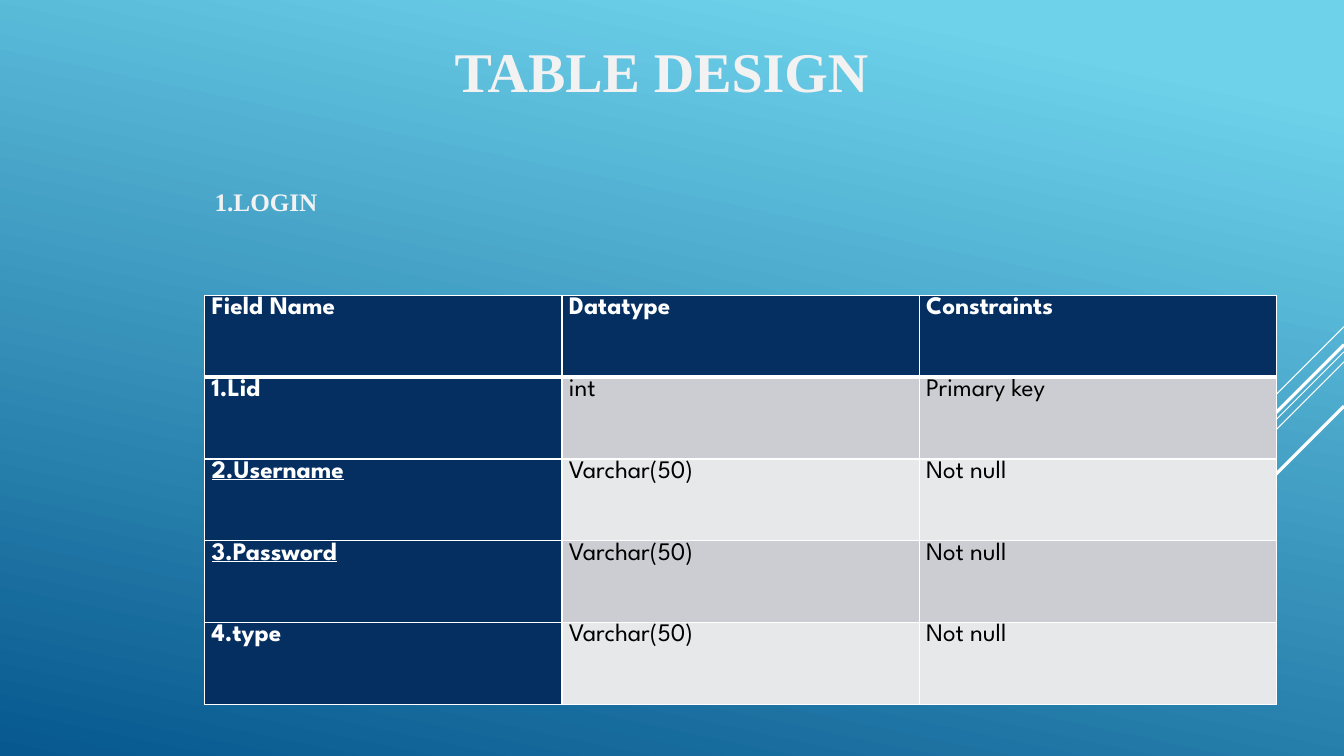
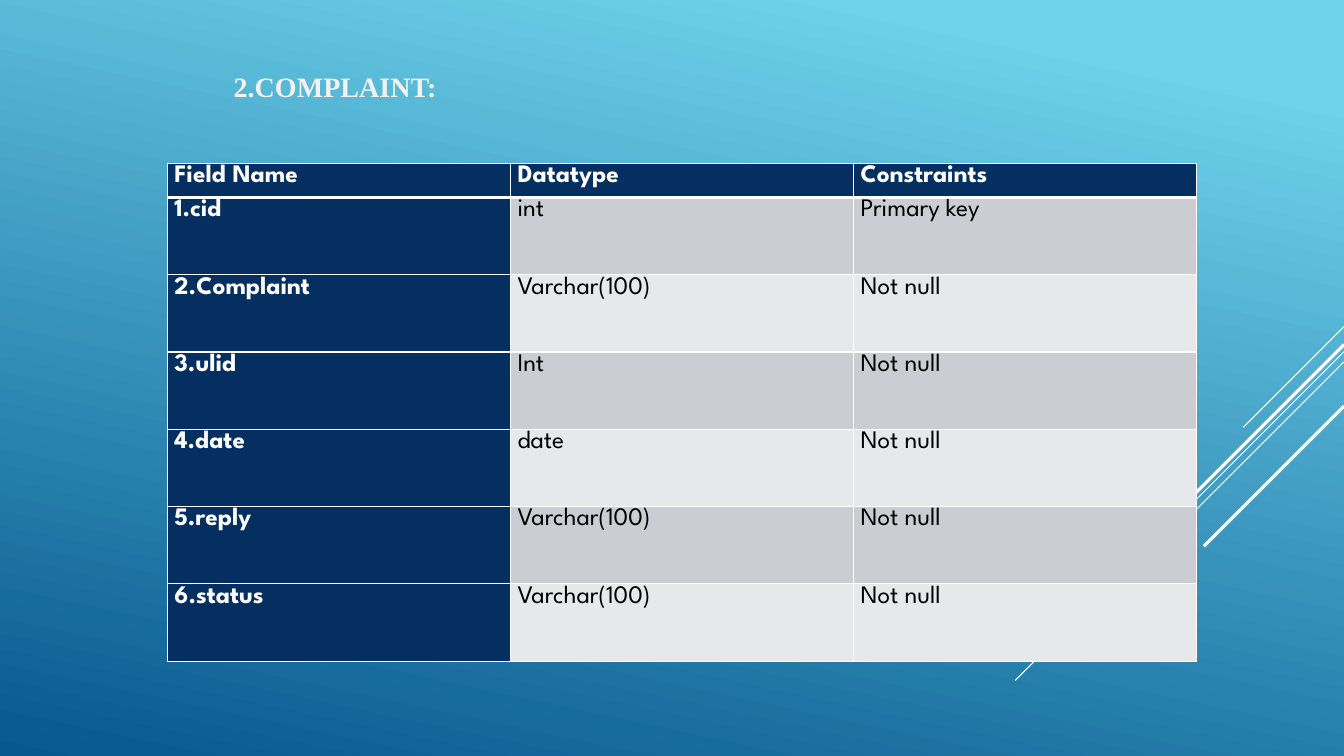
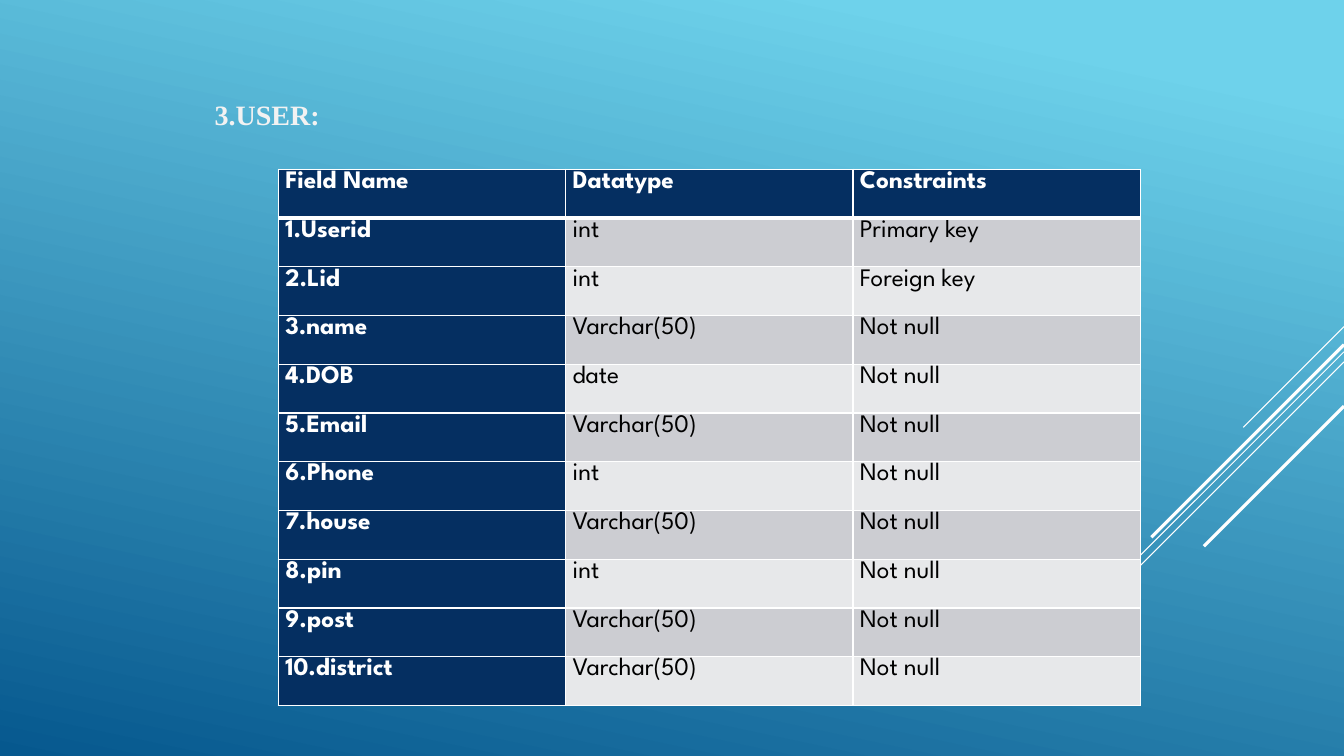
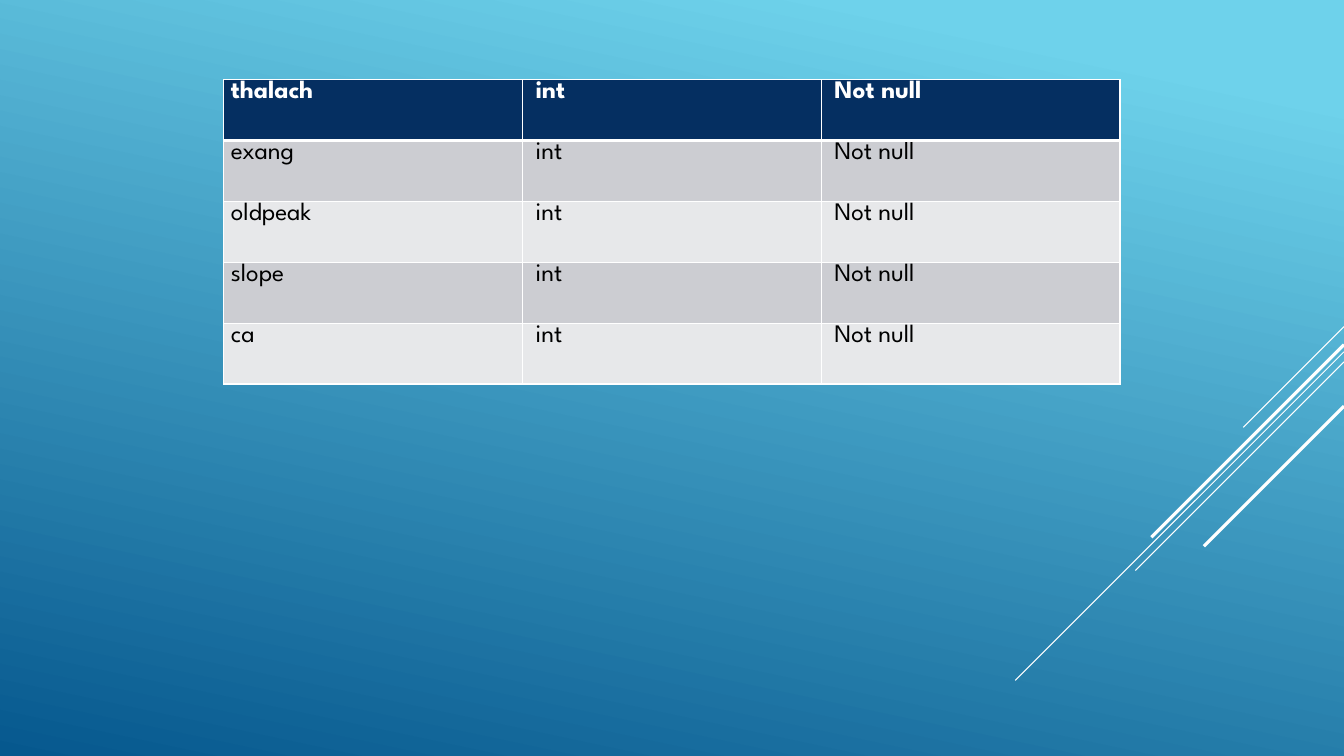
from dataclasses import dataclass

from lxml.etree import SubElement
from pptx import Presentation
from pptx.dml.color import RGBColor
from pptx.enum.shapes import MSO_CONNECTOR
from pptx.enum.text import MSO_ANCHOR, MSO_AUTO_SIZE
from pptx.oxml.ns import qn
from pptx.util import Inches, Pt


@dataclass(frozen=True)
class Theme:
    sky: str = "6ED2EB"
    deep: str = "06588E"
    navy: str = "052F61"
    bands: tuple = ("CCCDD2", "E7E8EA")
    white: str = "FFFFFF"
    black: str = "000000"
    title: str = "F2F2F2"
    title_font: str = "Times New Roman"
    table_font: str = "League Spartan"
    title_size: int = 40
    heading_size: int = 20
    small_heading_size: int = 18
    table_size: int = 18
    thin: float = 0.75
    thick: float = 2.25
    border: float = 1
    header_border: float = 3


THEME = Theme()

# Diagonal lines: start y on the right edge, horizontal and vertical run, weight
DIAGONALS = [
    (3.24, 1.0, THEME.thin),
    (3.49, 3.26, THEME.thin),
    (3.59, 2.07, THEME.thin),
    (3.42, 1.91, THEME.thick),
    (4.03, 1.39, THEME.thick),
]

HEADER = ("Field Name", "Datatype", "Constraints")
UNDERLINED = {"2.Username", "3.Password"}

LOGIN = [
    HEADER,
    ("1.Lid", "int", "Primary key"),
    ("2.Username", "Varchar(50)", "Not null"),
    ("3.Password", "Varchar(50)", "Not null"),
    ("4.type", "Varchar(50)", "Not null"),
]
COMPLAINT = [
    HEADER,
    ("1.cid", "int", "Primary key"),
    ("2.Complaint", "Varchar(100)", "Not null"),
    ("3.ulid", "Int", "Not null"),
    ("4.date", "date", "Not null"),
    ("5.reply", "Varchar(100)", "Not null"),
    ("6.status", "Varchar(100)", "Not null"),
]
USER = [
    HEADER,
    ("1.Userid", "int", "Primary key"),
    ("2.Lid", "int", "Foreign key"),
    ("3.name", "Varchar(50)", "Not null"),
    ("4.DOB", "date", "Not null"),
    ("5.Email", "Varchar(50)", "Not null"),
    ("6.Phone", "int", "Not null"),
    ("7.house", "Varchar(50)", "Not null"),
    ("8.pin", "int", "Not null"),
    ("9.post", "Varchar(50)", "Not null"),
    ("10.district", "Varchar(50)", "Not null"),
]
READINGS = [(name, "int", "Not null")
            for name in ("thalach", "exang", "oldpeak", "slope", "ca")]


def rgb(value):
    return RGBColor.from_string(value)


def style_run(r, font, size, color, bold=True):
    r.font.name = font
    r.font.size = Pt(size)
    r.font.color.rgb = rgb(color)
    r.font.bold = bold


# Shared background, set once on the master
def set_background(prs):
    fill = prs.slide_master.background.fill
    fill.gradient()
    fill.gradient_angle = 360 - 102
    stops = ((0.1, THEME.sky), (1.0, THEME.deep))
    for stop, (position, color) in zip(fill.gradient_stops, stops):
        stop.position = position
        stop.color.rgb = rgb(color)


# Blank slide with the diagonal lines
def add_slide(prs):
    slide = prs.slides.add_slide(prs.slide_layouts[6])
    right = prs.slide_width
    for top, run, weight in DIAGONALS:
        line = slide.shapes.add_connector(
            MSO_CONNECTOR.STRAIGHT, right, Inches(top),
            right - Inches(run), Inches(top + run))
        line.line.color.rgb = rgb(THEME.white)
        line.line.width = Pt(weight)
        SubElement(line._element.spPr, qn("a:effectLst"))
    return slide


def add_heading(slide, text, left, top, width, height, size, anchor=MSO_ANCHOR.TOP):
    sp = slide.shapes.add_textbox(*map(Inches, (left, top, width, height)))
    tf = sp.text_frame
    tf.text = text
    tf.word_wrap = True
    tf.auto_size = MSO_AUTO_SIZE.SHAPE_TO_FIT_TEXT
    tf.vertical_anchor = anchor
    style_run(tf.paragraphs[0].runs[0], THEME.title_font, size, THEME.title)


def set_borders(cell, top, bottom):
    tc_pr = cell._tc.get_or_add_tcPr()
    weights = {"lnL": THEME.border, "lnR": THEME.border, "lnT": top, "lnB": bottom}
    for tag, weight in weights.items():
        ln = SubElement(tc_pr, qn(f"a:{tag}"), w=str(Pt(weight)))
        fill = SubElement(ln, qn("a:solidFill"))
        SubElement(fill, qn("a:srgbClr"), val=THEME.white)


def fill_cell(cell, text, row, strong, inset):
    cell.margin_left = Inches(inset)
    cell.margin_right = Inches(0.07)
    cell.margin_top = cell.margin_bottom = 0
    set_borders(cell,
                top=THEME.header_border if row == 1 else THEME.border,
                bottom=THEME.header_border if row == 0 else THEME.border)
    cell.fill.solid()
    cell.fill.fore_color.rgb = rgb(THEME.navy if strong else THEME.bands[(row - 1) % 2])
    cell.text_frame.text = text
    p = cell.text_frame.paragraphs[0]
    p.line_spacing = 1.07
    p.space_after = Pt(8)
    r = p.runs[0]
    style_run(r, THEME.table_font, THEME.table_size,
              THEME.white if strong else THEME.black, strong)
    if text in UNDERLINED:
        r.font.underline = True


def add_field_table(slide, rows, left, top, width, height,
                    header_height=None, name_column=True, value_inset=0.07):
    """Equal columns and rows; the header row may have its own height."""
    table = slide.shapes.add_table(
        len(rows), len(rows[0]), *map(Inches, (left, top, width, height))).table
    table.horz_banding = False
    table.first_col = name_column
    header_height = header_height or height / len(rows)
    body_height = (height - header_height) / (len(rows) - 1)
    for i, row in enumerate(rows):
        table.rows[i].height = Inches(body_height if i else header_height)
        for j, text in enumerate(row):
            strong = i == 0 or (name_column and j == 0)
            fill_cell(table.cell(i, j), text, i, strong, value_inset if j else 0.07)


def main():
    prs = Presentation()
    prs.slide_width, prs.slide_height = Inches(13.33), Inches(7.5)
    set_background(prs)

    # Login
    slide = add_slide(prs)
    add_heading(slide, "TABLE DESIGN", 4.41, 0.31, 5.1, 0.77, THEME.title_size)
    add_field_table(slide, LOGIN, 2.03, 2.93, 10.63, 4.06)
    add_heading(slide, "1.LOGIN", 2.03, 1.8, 1.92, 0.4,
                THEME.small_heading_size, MSO_ANCHOR.MIDDLE)

    # Complaint
    slide = add_slide(prs)
    add_field_table(slide, COMPLAINT, 1.66, 1.62, 10.21, 4.94, header_height=0.34)
    add_heading(slide, "2.COMPLAINT:", 2.22, 0.64, 2.23, 0.44,
                THEME.heading_size, MSO_ANCHOR.MIDDLE)

    # User
    slide = add_slide(prs)
    add_field_table(slide, USER, 2.76, 1.68, 8.55, 5.32)
    add_heading(slide, "3.USER:", 2.03, 0.92, 2.48, 0.44, THEME.heading_size)

    # Readings
    slide = add_slide(prs)
    add_field_table(slide, READINGS, 2.22, 0.79, 8.89, 3.02,
                    name_column=False, value_inset=0.13)

    prs.save("out.pptx")


if __name__ == "__main__":
    main()
